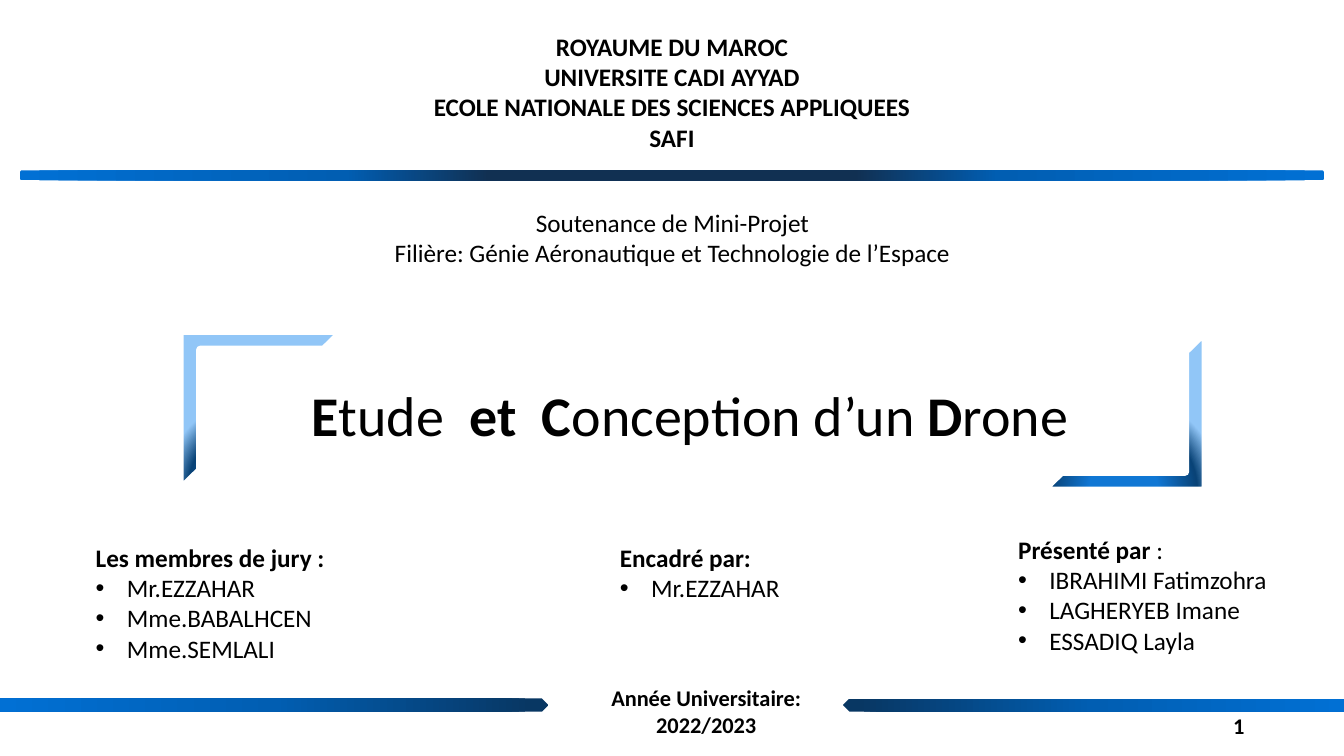
from lxml import etree
from pptx import Presentation
from pptx.dml.color import RGBColor
from pptx.enum.shapes import MSO_SHAPE
from pptx.enum.text import MSO_ANCHOR, MSO_AUTO_SIZE, PP_ALIGN
from pptx.oxml.ns import qn
from pptx.util import Emu, Pt

LEFT, CENTER, RIGHT = PP_ALIGN.LEFT, PP_ALIGN.CENTER, PP_ALIGN.RIGHT
MIDDLE = MSO_ANCHOR.MIDDLE
FIT_SHAPE = MSO_AUTO_SIZE.SHAPE_TO_FIT_TEXT
ROUND_RECT = MSO_SHAPE.ROUNDED_RECTANGLE
HALF_FRAME = MSO_SHAPE.HALF_FRAME
HOME_PLATE = MSO_SHAPE.PENTAGON

SCALE = 9144  # EMU per px, 100 px to the inch
FONT = "Calibri"
COLORS = {
    "text": "000000", "outline": "FFFFFF",
    "night": "113052", "navy": "083763", "royal": "015EB2", "azure": "0170D4",
    "frame_blue": "1077D4", "frame_dark": "094377", "frame_light": "91C6F7",
}
DIVIDER_STOPS = [(28, "night"), (50, "royal"), (100, "azure")]
BAR_STOPS = [(3, "navy"), (50, "royal"), (100, "azure")]
FRAME_STOPS = [(30, "frame_blue"), (64, "frame_dark"), (84, "frame_light")]


def px(length):
    return Emu(length * SCALE)


def gradient(shape, stops, focus=None, angle=0, turns=True):
    """Circular gradient around focus (l, t, r, b in %), or linear at angle."""
    fill = etree.Element(qn("a:gradFill"), rotWithShape=str(int(turns)))
    stop_list = etree.SubElement(fill, qn("a:gsLst"))
    for percent, color in stops:
        stop = etree.SubElement(stop_list, qn("a:gs"), pos=str(percent * 1000))
        etree.SubElement(stop, qn("a:srgbClr"), val=COLORS[color])
    if focus:
        path = etree.SubElement(fill, qn("a:path"), path="circle")
        sides = {side: str(value * 1000) for side, value in zip("ltrb", focus)}
        etree.SubElement(path, qn("a:fillToRect"), **sides)
    else:
        etree.SubElement(fill, qn("a:lin"), ang=str(angle * 60000), scaled="0")
    shape._element.spPr.find(qn("a:prstGeom")).addnext(fill)


def add_shape(slide, kind, box, rotation=0):
    shape = slide.shapes.add_shape(kind, *map(px, box))
    shape.shadow.inherit = False
    shape.line.fill.background()
    shape.rotation = rotation
    return shape


def add_text(slide, box, paragraphs, size=18, align=LEFT, anchor=None, bullets=False):
    """Each paragraph is a list of (words, bold); bullets mark all but the first."""
    frame = slide.shapes.add_textbox(*map(px, box)).text_frame
    frame.word_wrap = True
    if anchor is None:
        frame.auto_size = FIT_SHAPE
    else:
        frame.vertical_anchor = anchor
    for index, runs in enumerate(paragraphs):
        paragraph = frame.paragraphs[0] if index == 0 else frame.add_paragraph()
        paragraph.alignment = align
        if bullets and index:
            props = paragraph._p.get_or_add_pPr()
            props.set("marL", str(px(31)))
            props.set("indent", str(-px(31)))
            etree.SubElement(props, qn("a:buFont"), typeface="Arial")
            etree.SubElement(props, qn("a:buChar"), char="•")
        for words, bold in runs:
            run = paragraph.add_run()
            run.text = words
            run.font.name = FONT
            run.font.size = Pt(size)
            run.font.bold = bold
            run.font.color.rgb = RGBColor.from_string(COLORS["text"])


def add_header(slide, left, top, width):
    school = ["ROYAUME DU MAROC", "UNIVERSITE CADI AYYAD",
              "ECOLE NATIONALE DES SCIENCES APPLIQUEES", "SAFI"]
    add_text(slide, (left + 380, top, width - 760, 131),
             [[(line, True)] for line in school], align=CENTER)
    divider = add_shape(slide, ROUND_RECT, (left, top + 143, width, 10))
    gradient(divider, DIVIDER_STOPS, focus=(50, 50, 50, 50))
    defense = ["Soutenance de Mini-Projet",
               "Filière: Génie Aéronautique et Technologie de l’Espace"]
    add_text(slide, (left + 345, top + 175, width - 689, 71),
             [[(line, False)] for line in defense], align=CENTER)


def add_title(slide, left, top, width, height):
    title = [("E", True), ("tude", False), ("  et  C", True),
             ("onception d’un ", False), ("D", True), ("rone", False)]
    add_text(slide, (left + 121, top + 45, width - 79, 77), [title], size=40)
    corner_width = 163
    for corner_left, rotation in ((left, 0), (left + width - corner_width, 180)):
        corner = add_shape(slide, HALF_FRAME,
                           (corner_left, top, corner_width, height), rotation)
        corner.adjustments[0] = 0.12
        corner.adjustments[1] = 0.13
        gradient(corner, FRAME_STOPS, focus=(50, 130, 50, -30), turns=False)
        corner.line.color.rgb = RGBColor.from_string(COLORS["outline"])
        corner.line.width = Pt(6)


def add_people(slide, box, heading, names):
    add_text(slide, box, [heading] + [[(name, False)] for name in names], bullets=True)


def add_footer(slide, top, width):
    for left, length, rotation in ((0, 544, 0), (836, width - 836, 180)):
        bar = add_shape(slide, HOME_PLATE, (left, top + 19, length, 13), rotation)
        gradient(bar, BAR_STOPS, angle=180)
    add_text(slide, (567, top, 267, 64),
             [[("Année Universitaire:", True)], [("2022/2023", True)]],
             size=16, align=CENTER)
    add_text(slide, (944, top + 26, 300, 40), [[("1", True)]],
             size=16, align=RIGHT, anchor=MIDDLE)


def main():
    deck = Presentation()
    deck.slide_width, deck.slide_height = px(1333), px(750)
    slide = deck.slides.add_slide(deck.slide_layouts[6])

    add_header(slide, 20, 26, 1293)
    add_title(slide, 178, 328, 1018, 159)

    # Jury, supervisor and students
    add_people(slide, (85, 533, 315, 131), [("Les membres de jury :", True)],
               ["Mr.EZZAHAR", "Mme.BABALHCEN", "Mme.SEMLALI"])
    add_people(slide, (605, 533, 191, 71), [("Encadré par:", True)], ["Mr.EZZAHAR"])
    add_people(slide, (1000, 525, 296, 131), [("Présenté par", True), (" :", False)],
               ["IBRAHIMI Fatimzohra", "LAGHERYEB Imane", "ESSADIQ Layla"])

    add_footer(slide, 674, 1333)
    deck.save("out.pptx")


if __name__ == "__main__":
    main()
